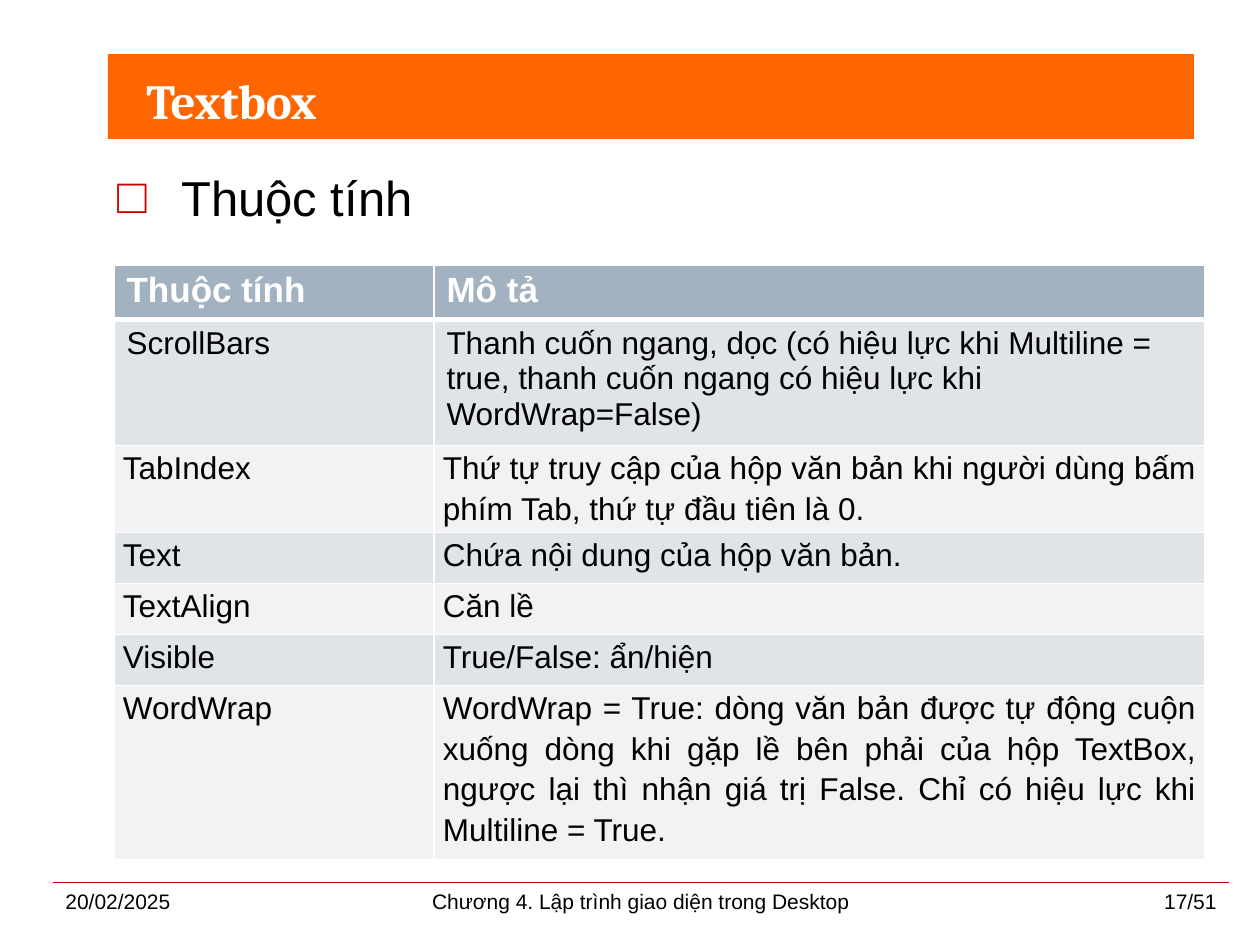
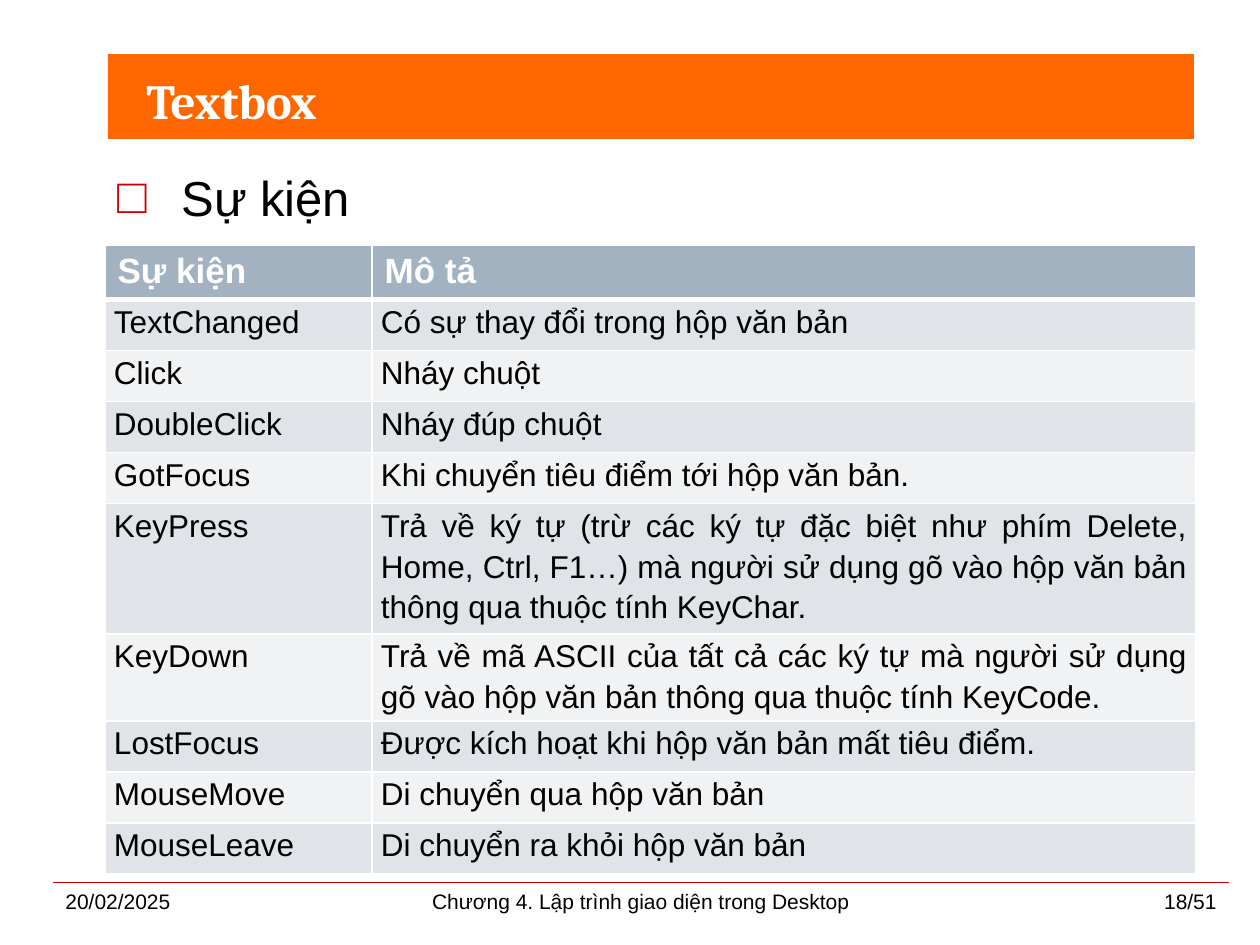
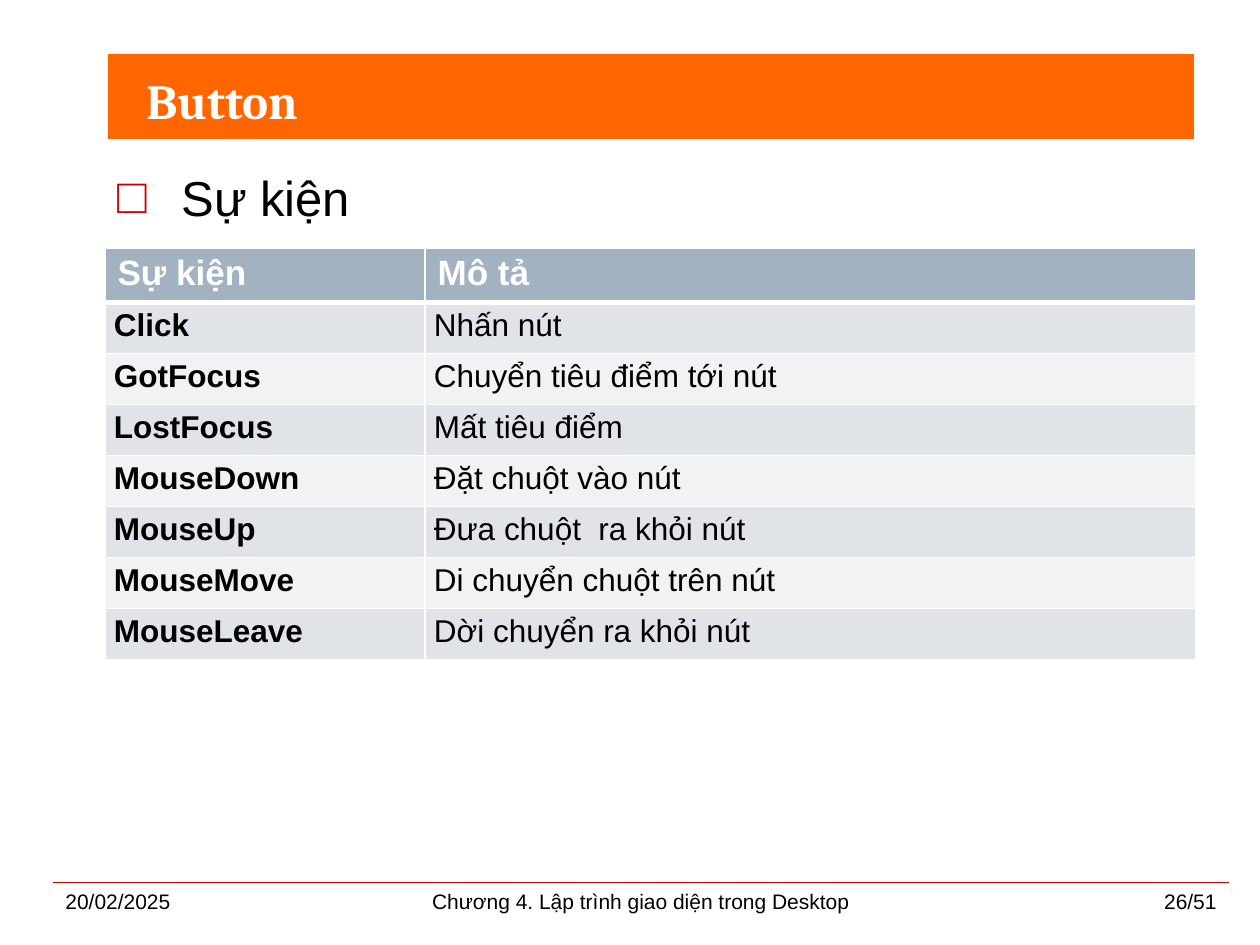
from lxml.etree import SubElement
from pptx import Presentation
from pptx.dml.color import RGBColor
from pptx.enum.shapes import MSO_CONNECTOR, MSO_SHAPE
from pptx.enum.text import MSO_ANCHOR, PP_ALIGN
from pptx.oxml import parse_xml
from pptx.oxml.ns import nsdecls, qn
from pptx.util import Emu, Pt

ORANGE, RED, BLACK, WHITE = "FF6600", "CC0000", "000000", "FFFFFF"
HEAD, ODD, EVEN = "A3B2C1", "E0E4E9", "F0F2F4"
BODY, TITLE = "Arial", "Cambria"
ROW = 51
FOOT = "Chương 4. Lập trình giao diện trong Desktop"
DATE = "20/02/2025"
TOTAL = 51

PROPS = [
    ("Thuộc tính", "Mô tả"),
    ("ScrollBars", "Thanh cuốn ngang, dọc (có hiệu lực khi Multiline = true, "
     "thanh cuốn ngang có hiệu lực khi WordWrap=False)"),
    ("TabIndex", "Thứ tự truy cập của hộp văn bản khi người dùng bấm phím Tab, "
     "thứ tự đầu tiên là 0."),
    ("Text", "Chứa nội dung của hộp văn bản."),
    ("TextAlign", "Căn lề"),
    ("Visible", "True/False: ẩn/hiện"),
    ("WordWrap", "WordWrap = True: dòng văn bản được tự động cuộn xuống dòng khi "
     "gặp lề bên phải của hộp TextBox, ngược lại thì nhận giá trị False. "
     "Chỉ có hiệu lực khi Multiline = True."),
]
BOX_EVENTS = [
    ("Sự kiện", "Mô tả"),
    ("TextChanged", "Có sự thay đổi trong hộp văn bản"),
    ("Click", "Nháy chuột"),
    ("DoubleClick", "Nháy đúp chuột"),
    ("GotFocus", "Khi chuyển tiêu điểm tới hộp văn bản."),
    ("KeyPress", "Trả về ký tự (trừ các ký tự đặc biệt như phím Delete, Home, "
     "Ctrl, F1…) mà người sử dụng gõ vào hộp văn bản thông qua thuộc tính KeyChar."),
    ("KeyDown", "Trả về mã ASCII của tất cả các ký tự mà người sử dụng gõ vào "
     "hộp văn bản thông qua thuộc tính KeyCode."),
    ("LostFocus", "Được kích hoạt khi hộp văn bản mất tiêu điểm."),
    ("MouseMove", "Di chuyển qua hộp văn bản"),
    ("MouseLeave", "Di chuyển ra khỏi hộp văn bản"),
]
BUTTON_EVENTS = [
    ("Sự kiện", "Mô tả"),
    ("Click", "Nhấn nút"),
    ("GotFocus", "Chuyển tiêu điểm tới nút"),
    ("LostFocus", "Mất tiêu điểm"),
    ("MouseDown", "Đặt chuột vào nút"),
    ("MouseUp", "Đưa chuột  ra khỏi nút"),
    ("MouseMove", "Di chuyển chuột trên nút"),
    ("MouseLeave", "Dời chuyển ra khỏi nút"),
]


def px(n):
    return Emu(round(n * 914400 / 126))


def color(code):
    return RGBColor.from_string(code)


def write(frame, text, size=18, font=BODY, ink=BLACK, bold=False,
          align=PP_ALIGN.LEFT, bullet=None, line=None, after=None):
    para = frame.paragraphs[0]
    para.alignment = align
    if line:
        para.line_spacing = line
    if after:
        para.space_after = Pt(after)
    if bullet:
        props = para._p.get_or_add_pPr()
        props.set("marL", str(px(64)))
        props.set("indent", str(-px(64)))
        SubElement(SubElement(props, qn("a:buClr")), qn("a:srgbClr"), val=RED)
        SubElement(props, qn("a:buFont"), typeface=BODY)
        SubElement(props, qn("a:buChar"), char=bullet)
    run = para.add_run()
    run.text = text
    run.font.size, run.font.name, run.font.bold = Pt(size), font, bold
    run.font.color.rgb = color(ink)


def label(slide, box, text, anchor=MSO_ANCHOR.TOP, **style):
    frame = slide.shapes.add_textbox(*map(px, box)).text_frame
    frame.word_wrap = True
    frame.vertical_anchor = anchor
    write(frame, text, **style)


def banner(slide, box, text):
    left, top, width, height = box
    band = slide.shapes.add_shape(MSO_SHAPE.RECTANGLE, *map(px, box))
    band.shadow.inherit = False
    band.fill.solid()
    band.fill.fore_color.rgb = color(ORANGE)
    band.line.fill.background()
    label(slide, (left + 26, top - 1, width - 54, height + 9), text,
          anchor=MSO_ANCHOR.MIDDLE, size=28, font=TITLE, ink=WHITE, bold=True)


def footer(slide, box, page):
    left, top, width, height = box
    rule = slide.shapes.add_connector(
        MSO_CONNECTOR.STRAIGHT, px(left), px(top), px(left + width), px(top))
    rule.line.color.rgb = color(RED)
    rule.line.width = Pt(0.25)
    SubElement(rule._element.spPr, qn("a:effectLst"))
    side, mid = 273, 546
    for x, wide, text, align in (
            (0, side, DATE, PP_ALIGN.LEFT),
            (315, mid, FOOT, PP_ALIGN.CENTER),
            (width - side, side, f"{page}/{TOTAL}", PP_ALIGN.RIGHT)):
        label(slide, (left + x, top, wide, height), text, size=12, align=align)


def edge(cell, above, below):
    """Draw white cell borders; above and below are widths in points."""
    props = cell._tc.get_or_add_tcPr()
    for i, (side, wide) in enumerate(
            (("L", 1), ("R", 1), ("T", above), ("B", below))):
        props.insert(i, parse_xml(
            f'<a:ln{side} {nsdecls("a")} w="{Pt(wide)}"><a:solidFill>'
            f'<a:srgbClr val="{WHITE}"/></a:solidFill></a:ln{side}>'))


def grid(slide, spot, cols, rows, loose=0, bold=False):
    """Add a table; the first loose body rows keep the default cell margins."""
    size = (sum(cols), ROW * len(rows))
    table = slide.shapes.add_table(
        len(rows), len(cols), *map(px, spot + size)).table
    for col, wide in zip(table.columns, cols):
        col.width = px(wide)
    for r, row in enumerate(rows):
        table.rows[r].height = px(ROW)
        for c, text in enumerate(row):
            cell = table.cell(r, c)
            cell.fill.solid()
            cell.fill.fore_color.rgb = color(
                HEAD if r == 0 else ODD if r % 2 else EVEN)
            edge(cell, 3 if r == 1 else 1, 3 if r == 0 else 1)
            if r == 0:
                style = dict(size=20, ink=WHITE, bold=True)
            else:
                style = dict(bold=bold and c == 0)
            if r > loose:
                cell.margin_left = cell.margin_right = px(9)
                cell.margin_top = cell.margin_bottom = 0
                style.update(align=PP_ALIGN.JUSTIFY, line=1.15, after=6)
            write(cell.text_frame, text, **style)


def page(deck, number, title, topic, *table, **style):
    slide = deck.slides.add_slide(deck.slide_layouts[6])
    banner(slide, (108, 54, 1086, 85), title)
    label(slide, (105, 161, 1092, 70), topic, size=28,
          align=PP_ALIGN.JUSTIFY, bullet="□")
    grid(slide, *table, **style)
    footer(slide, (53, 882, 1176, 44), number)


def main():
    deck = Presentation()
    deck.slide_width, deck.slide_height = px(1260), px(945)
    page(deck, 17, "Textbox", "Thuộc tính", (114, 265), (320, 771), PROPS, loose=1)
    page(deck, 18, "Textbox", "Sự kiện", (105, 245), (267, 824), BOX_EVENTS)
    page(deck, 26, "Button", "Sự kiện", (105, 248), (320, 771), BUTTON_EVENTS,
         bold=True)
    deck.save("out.pptx")


if __name__ == "__main__":
    main()
